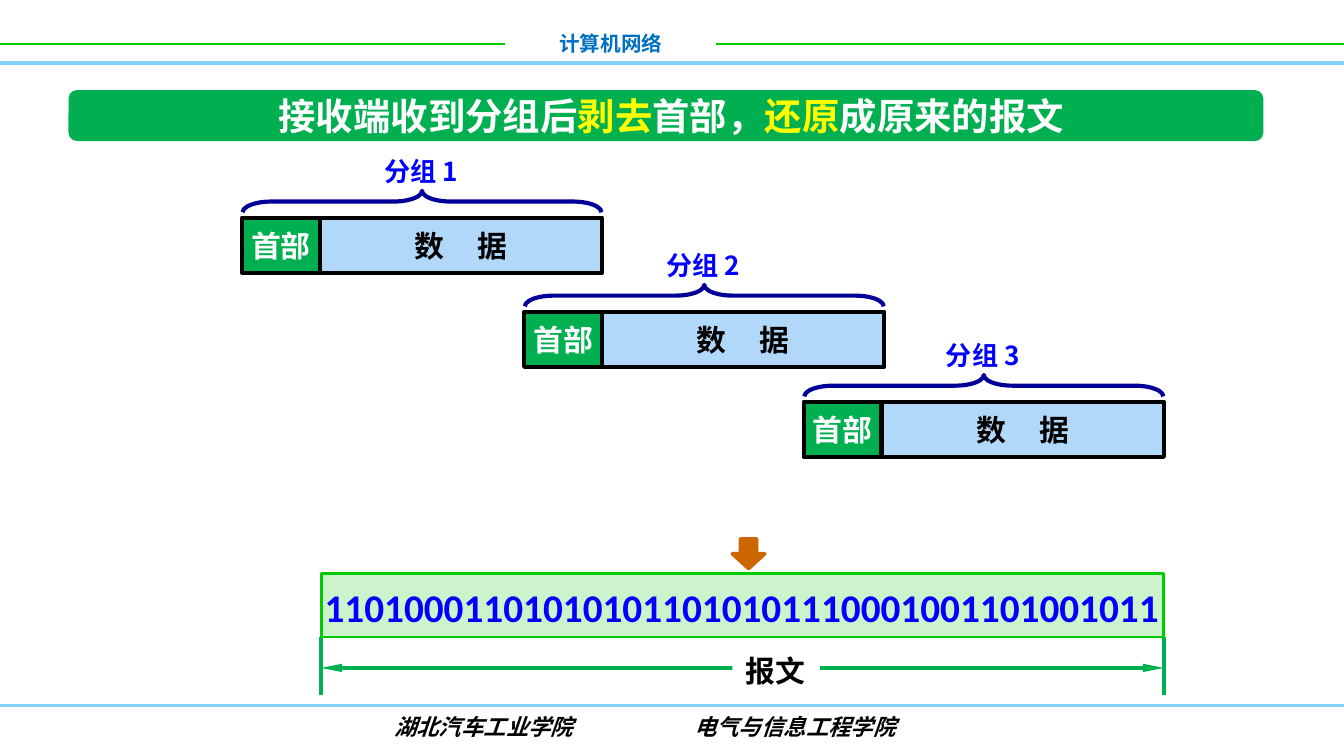
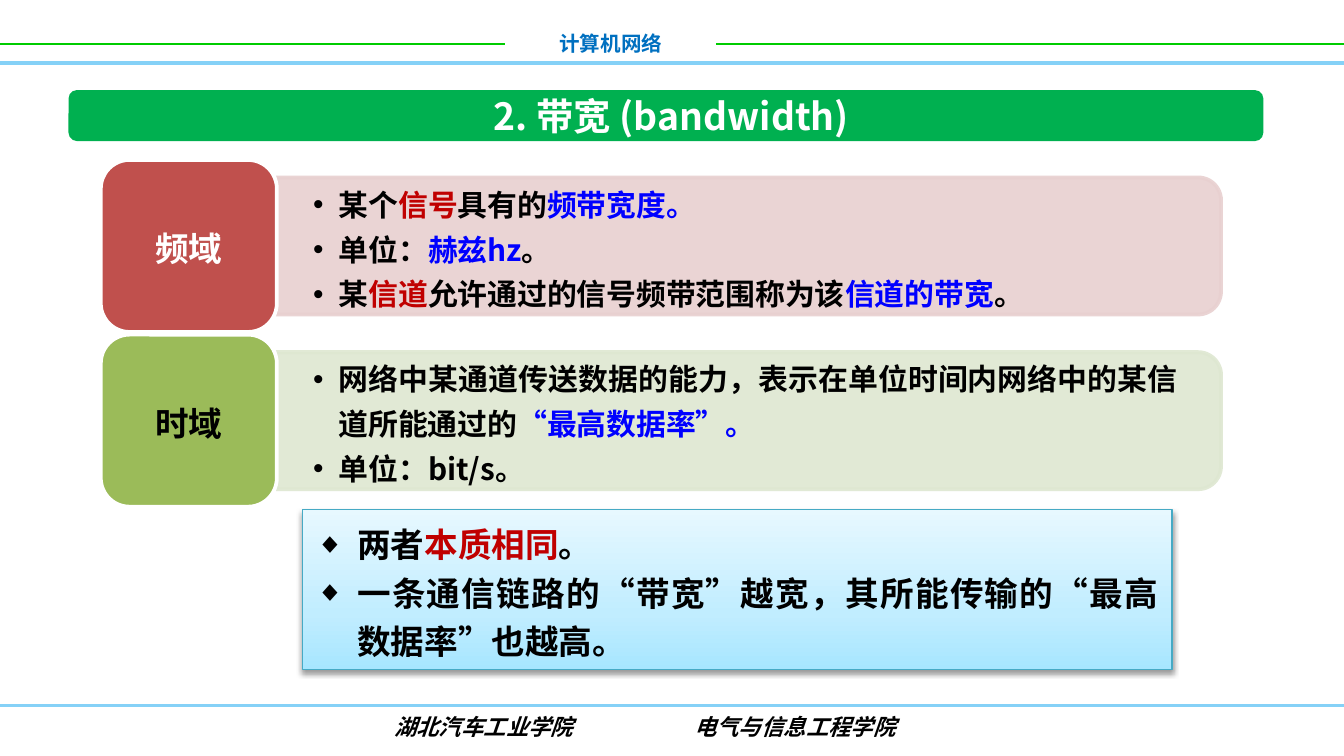
from lxml.etree import SubElement
from pptx import Presentation
from pptx.dml.color import RGBColor
from pptx.enum.shapes import MSO_CONNECTOR, MSO_SHAPE as SHAPE
from pptx.enum.text import MSO_ANCHOR as ANCHOR, PP_ALIGN as ALIGN
from pptx.oxml.ns import qn
from pptx.util import Inches, Pt

# Shared look
CJK = "Noto Sans CJK SC"
GREEN, LIME, SKY = "00B050", "00CC00", "85D1F7"
BLACK, WHITE, BLUE, RED, YELLOW = "000000", "FFFFFF", "0000FF", "C00000", "FFFF00"
NAVY, PALE_BLUE, PALE_GREEN, ORANGE = "000099", "B1D8F9", "CDF3CD", "CC6600"


def rgb(code):
    return RGBColor.from_string(code)


def add_line(slide, x1, y1, x2, y2, color, width, arrows=False):
    line = slide.shapes.add_connector(
        MSO_CONNECTOR.STRAIGHT, Inches(x1), Inches(y1), Inches(x2), Inches(y2))
    line.line.color.rgb = rgb(color)
    line.line.width = Pt(width)
    properties = line.element.spPr
    if arrows:
        for end in ("a:headEnd", "a:tailEnd"):
            SubElement(properties.find(qn("a:ln")), qn(end),
                       type="triangle", w="sm", len="lg")
    SubElement(properties, qn("a:effectLst"))


def add_box(slide, kind, x, y, w, h, fill=None, outline=None, width=1.0):
    box = slide.shapes.add_shape(kind, Inches(x), Inches(y), Inches(w), Inches(h))
    box.shadow.inherit = False
    if fill:
        box.fill.solid()
        box.fill.fore_color.rgb = rgb(fill)
    else:
        box.fill.background()
    if outline:
        box.line.color.rgb = rgb(outline)
        box.line.width = Pt(width)
    else:
        box.line.fill.background()
    return box


def add_rotated(slide, kind, center_x, center_y, length, thickness, **style):
    """Place an upright shape so that, turned by 90 degrees, it lies along its length."""
    box = add_box(slide, kind, center_x - thickness / 2, center_y - length / 2,
                  thickness, length, **style)
    box.rotation = 90
    return box


def add_run(paragraph, text, size, color, spacing=0, font=CJK, italic=False):
    run = paragraph.add_run()
    run.text = text
    run.font.size = Pt(size)
    run.font.bold = True
    if italic:
        run.font.italic = True
    run.font.name = font
    run.font.color.rgb = rgb(color)
    properties = run.font._element
    SubElement(properties, qn("a:ea"), typeface=CJK)
    if spacing:
        properties.set("spc", str(spacing * 100))


def write(shape, paragraphs, size, align=ALIGN.LEFT, anchor=ANCHOR.TOP, wrap=True,
          leading=None, bullet=None, inset=(0.1, 0.05), **run_style):
    """Paragraphs hold (text, color[, spacing]) runs; bullet is (char, indent, percent)."""
    frame = shape.text_frame
    frame.word_wrap = wrap
    frame.vertical_anchor = anchor
    frame.margin_left = frame.margin_right = Inches(inset[0])
    frame.margin_top = frame.margin_bottom = Inches(inset[1])
    for index, runs in enumerate(paragraphs):
        paragraph = frame.add_paragraph() if index else frame.paragraphs[0]
        if bullet:
            char, indent, percent = bullet
            properties = paragraph._p.get_or_add_pPr()
            properties.set("marL", str(Inches(indent)))
            properties.set("indent", str(-Inches(indent)))
            SubElement(properties, qn("a:buSzPct"), val=str(percent * 1000))
            SubElement(properties, qn("a:buFont"), typeface="Arial")
            SubElement(properties, qn("a:buChar"), char=char)
        paragraph.alignment = align
        if leading:
            paragraph.line_spacing = Pt(leading)
        for text, *color_and_spacing in runs:
            add_run(paragraph, text, size, *color_and_spacing, **run_style)


def add_text(slide, x, y, w, h, paragraphs, size, **style):
    box = slide.shapes.add_textbox(Inches(x), Inches(y), Inches(w), Inches(h))
    write(box, paragraphs, size, **style)


def add_page(deck, title):
    slide = deck.slides.add_slide(deck.slide_layouts[6])
    # Header
    add_line(slide, 0, 0.33, 3.76, 0.33, LIME, 1)
    add_text(slide, 3.76, 0.18, 1.57, 0.29, [[("计算机网络", "0070C0")]], 11,
             align=ALIGN.CENTER)
    add_line(slide, 5.33, 0.33, 10, 0.33, LIME, 1)
    add_line(slide, 0, 0.47, 10, 0.47, SKY, 2)
    # Footer
    add_line(slide, 0, 5.25, 10, 5.25, SKY, 1.5)
    add_text(slide, 1.02, 5.26, 7.56, 0.3,
             [[("湖北汽车工业学院", BLACK), (" ", BLACK, 62), ("电气与信息工程学院", BLACK)]],
             12, align=ALIGN.CENTER, font="Arial", italic=True)
    # Title band
    add_box(slide, SHAPE.ROUNDED_RECTANGLE, 0.51, 0.67, 8.89, 0.38, GREEN)
    add_text(slide, 1.37, 0.67, 7.25, 0.38, [title], 20,
             align=ALIGN.CENTER, anchor=ANCHOR.MIDDLE)
    return slide


# Slide 1: packets and the message
def add_packet(slide, number, x, y):
    head_w, data_w, height = 0.58, 2.1, 0.41
    centered = dict(align=ALIGN.CENTER, anchor=ANCHOR.MIDDLE, wrap=False)
    data = add_box(slide, SHAPE.RECTANGLE, x + head_w, y, data_w, height,
                   PALE_BLUE, BLACK, 2.25)
    write(data, [[("数", BLACK), (" ", BLACK, 14), ("据", BLACK)]], 16, **centered)
    head = add_box(slide, SHAPE.RECTANGLE, x, y, head_w, height, GREEN, BLACK, 2.25)
    write(head, [[("首部", WHITE)]], 16, **centered)
    brace = add_rotated(slide, SHAPE.LEFT_BRACE, x + 1.34, y - 0.12,
                        2.67, 0.16, outline=NAVY, width=2.25)
    brace.adjustments[0] = 1.34
    add_text(slide, x + 0.96, y - 0.52, 0.89, 0.34, [[(f"分组 {number}", BLUE)]], 14,
             anchor=ANCHOR.MIDDLE, wrap=False)


def add_message(slide, bits):
    left, right, top, height = 2.39, 8.66, 4.27, 0.47
    for x in (left, right):
        add_line(slide, x, top + height, x, 5.17, GREEN, 2.25)
    add_line(slide, left, 4.97, right, 4.97, GREEN, 2.25, arrows=True)
    label = add_box(slide, SHAPE.RECTANGLE, 5.45, 4.81, 0.65, 0.37, WHITE)
    write(label, [[("报文", BLACK)]], 16, wrap=False)
    add_box(slide, SHAPE.RECTANGLE, left, top, right - left, height,
            PALE_GREEN, LIME, 1.5)
    add_text(slide, left - 0.1, top + 0.02, right - left + 0.19, 0.45,
             [[(bits, BLUE)]], 21, align=ALIGN.CENTER, wrap=False, font="Calibri")
    add_box(slide, SHAPE.DOWN_ARROW, 5.45, 4.01, 0.24, 0.22, ORANGE, ORANGE, 2)


# Slide 2: meanings of bandwidth
def add_domain(slide, y, name, name_color, badge_color, panel_color, points):
    panel = add_rotated(slide, SHAPE.ROUND_2_SAME_RECTANGLE, 5.57, y + 0.64, 7.03, 1.02,
                        fill=panel_color, outline=panel_color, width=2)
    for color in panel.element.spPr.iter(qn("a:srgbClr")):
        SubElement(color, qn("a:alpha"), val="90000")
    add_text(slide, 2.06, y + 0.17, 6.98, 0.92, points, 16, align=ALIGN.JUSTIFY,
             anchor=ANCHOR.MIDDLE, leading=24, bullet=("•", 0.19, 100),
             inset=(0.27, 0.14))
    badge = add_box(slide, SHAPE.ROUNDED_RECTANGLE, 0.75, y, 1.31, 1.28,
                    badge_color, WHITE, 2)
    write(badge, [[(name, name_color)]], 18, align=ALIGN.CENTER, anchor=ANCHOR.MIDDLE,
          leading=24)


def add_summary(slide, points):
    box = add_box(slide, SHAPE.RECTANGLE, 2.25, 3.79, 6.47, 1.19,
                  outline="46AAC5", width=0.75)
    box.fill.gradient()
    box.fill.gradient_angle = 90
    properties = box.element.spPr
    stops = properties.find(qn("a:gradFill")).find(qn("a:gsLst"))
    for stop in list(stops):
        stops.remove(stop)
    for percent, color in ((0, "A7E6FF"), (35, "C1EDFF"), (100, "E7F8FF")):
        stop = SubElement(stops, qn("a:gs"), pos=str(percent * 1000))
        SubElement(stop, qn("a:srgbClr"), val=color)
    shadow = SubElement(properties.find(qn("a:effectLst")), qn("a:outerShdw"),
                        blurRad=str(Pt(3.1)), dist=str(Pt(1.6)),
                        dir=str(90 * 60000), rotWithShape="0")
    shade = SubElement(shadow, qn("a:srgbClr"), val=BLACK)
    SubElement(shade, qn("a:alpha"), val="38000")
    write(box, points, 18, align=ALIGN.JUSTIFY, leading=26, bullet=("◆", 0.31, 85))


def main():
    deck = Presentation()
    deck.slide_width = Inches(10)
    deck.slide_height = Inches(10) * 9 // 16

    reassembly = add_page(deck, [
        ("接收端收到分组后", WHITE), ("剥去", YELLOW), ("首部，", WHITE),
        ("还原", YELLOW), ("成原来的报文", WHITE)])
    for number, (x, y) in enumerate([(1.8, 1.62), (3.9, 2.32), (5.98, 2.99)], 1):
        add_packet(reassembly, number, x, y)
    add_message(reassembly, "110100011010101011010101110001001101001011")

    bandwidth = add_page(deck, [("2. 带宽 (bandwidth)", WHITE)])
    add_domain(bandwidth, 1.19, "频域", WHITE, "C0504D", "E8D0D0", [
        [("某个", BLACK), ("信号", RED), ("具有的", BLACK), ("频带宽度。", BLUE)],
        [("单位：", BLACK), ("赫兹hz", BLUE), ("。", BLACK)],
        [("某", BLACK), ("信道", RED), ("允许通过的信号频带范围称为该", BLACK),
         ("信道的带宽", BLUE), ("。", BLACK)]])
    add_domain(bandwidth, 2.49, "时域", BLACK, "9BBB59", "DEE7D1", [
        [("网络中某通道传送数据的能力，表示在单位时间内网络中的某信道所能通过的", BLACK),
         ("“最高数据率”。", BLUE)],
        [("单位：bit/s。", BLACK)]])
    add_summary(bandwidth, [
        [("两者", BLACK), ("本质相同", RED), ("。", BLACK)],
        [("一条通信链路的“带宽”越宽，其所能传输的“最高数据率”也越高。", BLACK)]])

    deck.save("out.pptx")


if __name__ == "__main__":
    main()
